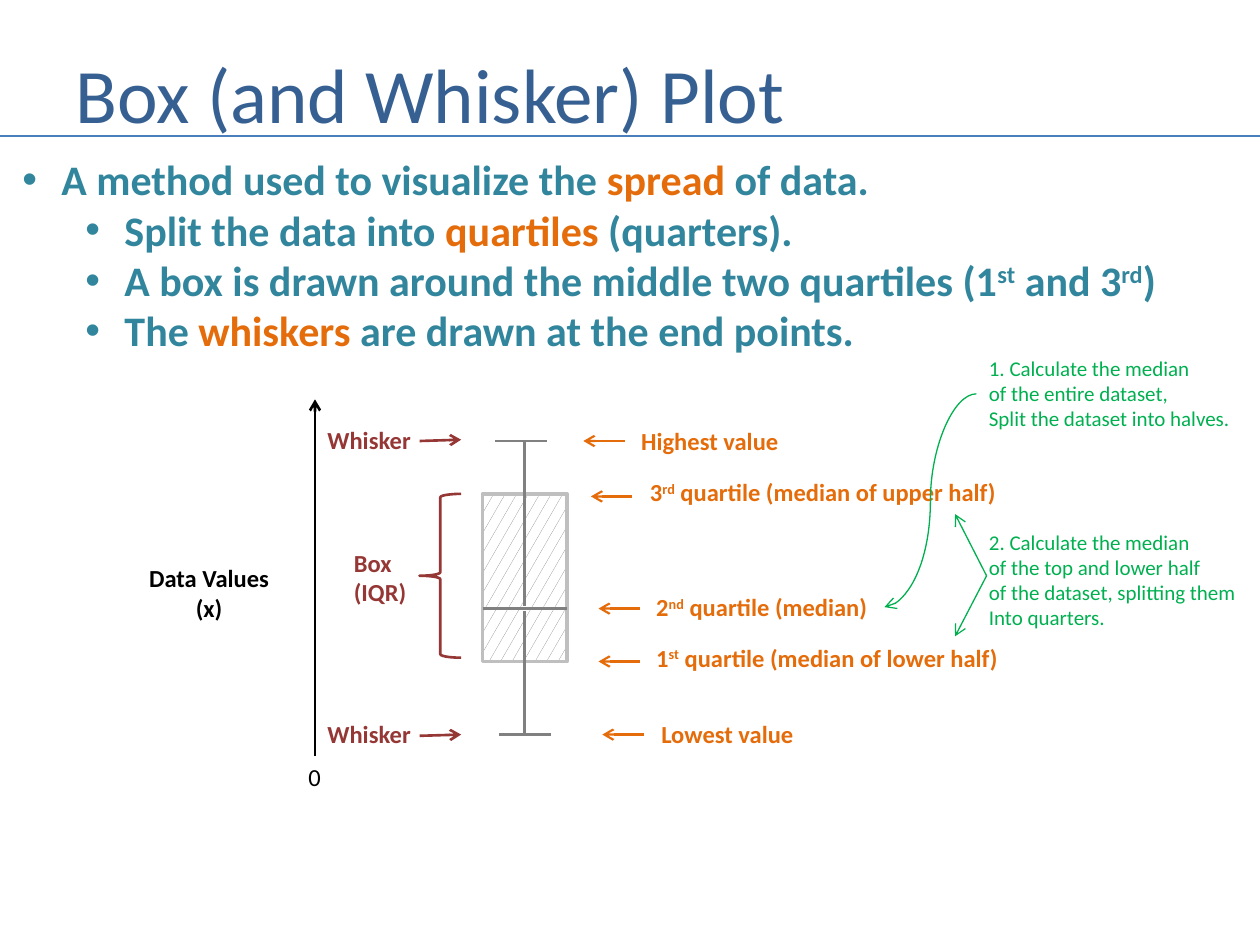
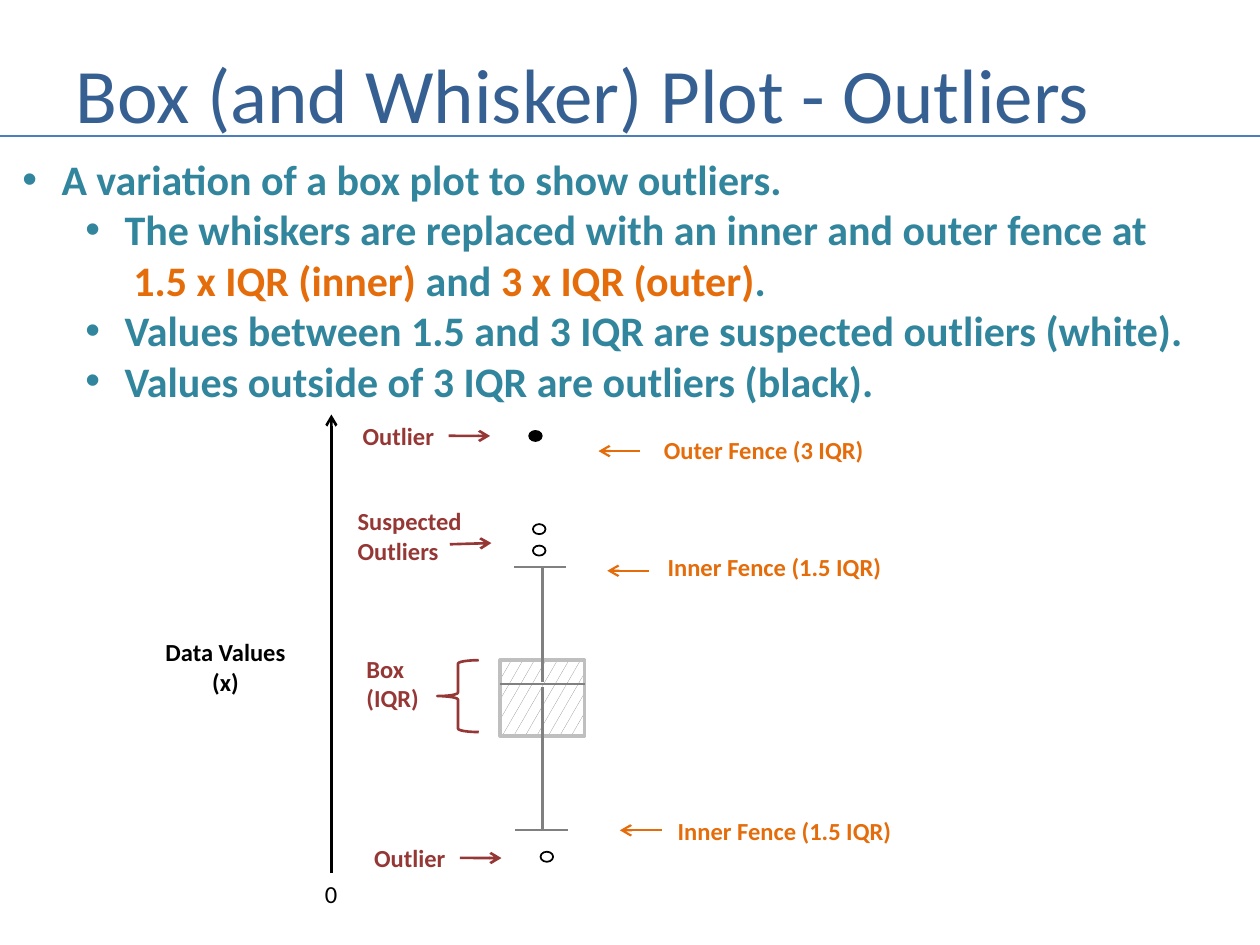
from dataclasses import dataclass
from typing import NamedTuple, Optional, Union

from lxml.etree import SubElement
from pptx import Presentation
from pptx.dml.color import RGBColor
from pptx.enum.dml import MSO_PATTERN
from pptx.enum.shapes import MSO_CONNECTOR, MSO_SHAPE
from pptx.enum.text import MSO_ANCHOR, MSO_AUTO_SIZE, PP_ALIGN
from pptx.oxml.ns import qn
from pptx.util import Emu, Inches, Pt

# Grid of 100 columns by 75 rows; TOP, RIGHT and so on are connection sites
WIDTH, HEIGHT = Inches(10), Inches(7.5)
COLUMNS, ROWS = 100, 75
TOP, LEFT, RIGHT = 0, 1, 3
FONT = "Calibri"
COLOURS = {
    "title": "376092", "rule": "4B7EBC", "body": "31859C", "accent": "E46C0A",
    "part": "953735", "step": "00B050", "stroke": "808080", "edge": "BFBFBF",
    "black": "000000", "white": "FFFFFF",
}


class Run(NamedTuple):
    text: str
    colour: Optional[str] = None
    raised: bool = False


Line = tuple[Union[str, Run], ...]


class Bullet(NamedTuple):
    line: Line
    indent: float = 8.1
    marked: bool = True


class Callout(NamedTuple):
    """A label and its arrow, which starts at (arrow_x, arrow_y)."""
    lines: tuple[Line, ...]
    left: float
    top: float
    width: float
    arrow_x: float
    arrow_y: float
    joined: bool = False


class Dot(NamedTuple):
    left: float
    top: float
    fill: str = "white"


@dataclass
class BoxPlot:
    axis_x: float
    axis_top: float
    axis_bottom: float
    axis_label_top: float
    box_left: float
    box_top: float
    box_height: float
    median: float
    high: float
    low: float
    high_cap_left: float
    low_cap_left: float
    brace_height: float
    box_label: tuple[float, float]


def accent(text: str) -> Run:
    return Run(text, "accent")


def raised(text: str) -> Run:
    return Run(text, raised=True)


def col(count: float) -> Emu:
    return Emu(round(WIDTH * count / COLUMNS))


def row(count: float) -> Emu:
    return Emu(round(HEIGHT * count / ROWS))


def rgb(name: str) -> RGBColor:
    return RGBColor.from_string(COLOURS[name])


# Text
def add_text(slide, lines, left, top, width, size, colour, bold=False, align=None):
    height = 1 + 0.17 * size * len(lines)
    box = slide.shapes.add_textbox(col(left), row(top), col(width), row(height))
    frame = box.text_frame
    frame.word_wrap = False
    frame.auto_size = MSO_AUTO_SIZE.SHAPE_TO_FIT_TEXT
    for number, line in enumerate(lines):
        paragraph = frame.add_paragraph() if number else frame.paragraphs[0]
        paragraph.alignment = align
        font = paragraph.font
        font.name, font.size, font.bold = FONT, Pt(size), bold
        font.color.rgb = rgb(colour)
        for part in line:
            piece = part if isinstance(part, Run) else Run(part)
            run = paragraph.add_run()
            run.text = piece.text
            if piece.colour:
                run.font.color.rgb = rgb(piece.colour)
            if piece.raised:
                run._r.get_or_add_rPr().set("baseline", "30000")
    return box


def add_bullets(slide, bullets: list[Bullet], width: float) -> None:
    box = add_text(slide, [b.line for b in bullets], 0.8, 11.7, width, 24, "body", True)
    for paragraph, bullet in zip(box.text_frame.paragraphs, bullets):
        properties = paragraph._p.get_or_add_pPr()
        properties.set("marL", str(col(bullet.indent)))
        properties.set("indent", str(-col(3.1) if bullet.marked else 0))
        if bullet.marked:
            mark = SubElement(properties, qn("a:buChar"), char="•")
            properties.insert(0, mark)
            face = SubElement(properties, qn("a:buFont"), typeface="Arial")
            properties.insert(0, face)


# Lines and shapes
def add_line(slide, start, end, colour, weight, arrow=False, kind=MSO_CONNECTOR.STRAIGHT):
    line = slide.shapes.add_connector(
        kind, col(start[0]), row(start[1]), col(end[0]), row(end[1]))
    line.line.color.rgb = rgb(colour)
    line.line.width = Pt(weight)
    properties = line._element.spPr
    if arrow:
        SubElement(properties.find(qn("a:ln")), qn("a:tailEnd"), type="arrow")
    SubElement(properties, qn("a:effectLst"))
    return line


def add_outline(slide, kind, left, top, width, height, colour, weight):
    shape = slide.shapes.add_shape(kind, col(left), row(top), col(width), row(height))
    shape.shadow.inherit = False
    shape.fill.background()
    shape.line.color.rgb = rgb(colour)
    shape.line.width = Pt(weight)
    return shape


def add_dot(slide, dot: Dot) -> None:
    shape = add_outline(slide, MSO_SHAPE.OVAL, dot.left, dot.top, 1, 0.8, "black", 1)
    shape.fill.solid()
    shape.fill.fore_color.rgb = rgb(dot.fill)


def add_callout(slide, callout: Callout, colour: str):
    label = add_text(slide, callout.lines, callout.left, callout.top, callout.width,
                     14, colour, True)
    reach, rise, weight = (3.3, 0.1, 1.5) if colour == "part" else (-3.3, 0, 1.25)
    arrow = add_line(slide, (callout.arrow_x, callout.arrow_y),
                     (callout.arrow_x + reach, callout.arrow_y - rise), colour, weight, True)
    if callout.joined:
        arrow.begin_connect(label, RIGHT)
    return label


def add_box_plot(slide, plot: BoxPlot) -> None:
    box_width, cap_width, gap = 6.7, 4.15, 0.2
    # Axis
    zero = add_text(slide, [("0",)], plot.axis_x - 1.5, plot.axis_bottom, 3, 14, "black")
    axis = add_line(slide, (plot.axis_x, plot.axis_bottom), (plot.axis_x, plot.axis_top),
                    "black", 1.5, True)
    axis.begin_connect(zero, TOP)
    add_text(slide, [("Data Values",), ("(x)",)], plot.axis_x - 14.2, plot.axis_label_top,
             11.6, 14, "black", True, PP_ALIGN.CENTER)
    # Box with median
    box = add_outline(slide, MSO_SHAPE.RECTANGLE, plot.box_left, plot.box_top,
                      box_width, plot.box_height, "edge", 2)
    box.fill.patterned()
    box.fill.pattern = MSO_PATTERN.SMALL_CONFETTI
    box.fill.fore_color.rgb = rgb("stroke")
    box.fill.back_color.rgb = rgb("white")
    add_line(slide, (plot.box_left, plot.median), (plot.box_left + box_width, plot.median),
             "stroke", 1.5)
    # Whiskers and caps
    middle = plot.box_left + box_width / 2
    for end, inner, cap_left in ((plot.high, plot.median - gap, plot.high_cap_left),
                                 (plot.low, plot.median + gap, plot.low_cap_left)):
        add_line(slide, (middle, end), (middle, inner), "stroke", 1.5)
        add_line(slide, (cap_left, end), (cap_left + cap_width, end), "stroke", 1.25)
    # Brace
    add_outline(slide, MSO_SHAPE.LEFT_BRACE, plot.box_left - 5, plot.box_top, 3.3,
                plot.brace_height, "part", 1.5)
    add_text(slide, [("Box",), ("(IQR)",)], *plot.box_label, 6.2, 14, "part", True)


def add_titled_slide(deck, title: str):
    slide = deck.slides.add_slide(deck.slide_layouts[6])
    heading = add_text(slide, [(title,)], 5, 3, 90.8, 44, "title")
    frame = heading.text_frame
    frame.auto_size, frame.word_wrap = MSO_AUTO_SIZE.NONE, True
    frame.vertical_anchor = MSO_ANCHOR.MIDDLE
    heading.height = row(8.7)
    add_line(slide, (0, 10.8), (COLUMNS, 10.8), "rule", 1.5)
    return slide


def build_quartiles(deck) -> None:
    slide = add_titled_slide(deck, "Box (and Whisker) Plot")
    add_bullets(slide, [
        Bullet(("A method used to visualize the ", accent("spread"), " of data."), 3.1),
        Bullet(("Split the data into ", accent("quartiles"), " (quarters).")),
        Bullet(("A box is drawn around the middle two quartiles (1", raised("st"),
                " and 3", raised("rd"), ")")),
        Bullet(("The ", accent("whiskers"), " are drawn at the end points.")),
    ], 93.3)
    add_box_plot(slide, BoxPlot(
        axis_x=25, axis_top=31.7, axis_bottom=60, axis_label_top=44.2,
        box_left=38.3, box_top=39.2, box_height=13.3, median=48.3, high=35, low=58.3,
        high_cap_left=39.3, low_cap_left=39.6, brace_height=13, box_label=(27.1, 43)))
    for top, arrow_y in ((33.2, 35), (56.6, 58.4)):
        add_callout(slide, Callout((("Whisker",),), 25, top, 8.7, 33.3, arrow_y), "part")
    for callout in (
        Callout((("Highest value",),), 49.9, 33.3, 13, 49.6, 35),
        Callout((("3", raised("rd"), " quartile (median of upper half)"),),
                50.6, 37.4, 30.2, 50.2, 39.4),
        Callout((("1", raised("st"), " quartile (median of lower half)"),),
                51.1, 50.5, 29.4, 50.8, 52.5),
        Callout((("Lowest value",),), 51.5, 56.6, 12.6, 51.1, 58.3),
    ):
        add_callout(slide, callout, "accent")
    median = add_callout(slide, Callout((("2", raised("nd"), " quartile (median)"),),
                                        51.1, 46.5, 19.1, 50.8, 48.3), "accent")
    # Steps
    halves = add_text(slide, [
        ("1. Calculate the median",), ("of the entire dataset,",),
        ("Split the dataset into halves.",)], 77.5, 27.7, 21.3, 12, "step")
    curve = add_line(slide, (77.5, 31.2), (70.2, 48.2), "step", 0.75, True,
                     MSO_CONNECTOR.CURVE)
    curve.begin_connect(halves, LEFT)
    curve.end_connect(median, RIGHT)
    add_text(slide, [
        ("2. Calculate the median",), ("of the top and lower half",),
        ("of the dataset, splitting them",), ("Into quarters.",)],
        77.5, 41.5, 22.1, 12, "step")
    for target in (40.8, 50.5):
        add_line(slide, (78.3, 45.7), (75.8, target), "step", 0.75, True)


def build_outliers(deck) -> None:
    slide = add_titled_slide(deck, "Box (and Whisker) Plot - Outliers")
    add_bullets(slide, [
        Bullet(("A variation of a box plot to show outliers.",), 3.1),
        Bullet(("The whiskers are replaced with an inner and outer fence at",)),
        Bullet((accent("1.5 x IQR (inner) "), "and ", accent("3 x IQR (outer)"), "."),
               8.8, marked=False),
        Bullet(("Values between 1.5 and 3 IQR are suspected outliers (white).",)),
        Bullet(("Values outside of 3 IQR are outliers (black).",)),
    ], 95.1)
    add_box_plot(slide, BoxPlot(
        axis_x=26.3, axis_top=32.9, axis_bottom=69.3, axis_label_top=50.1,
        box_left=39.7, box_top=52.4, box_height=6, median=54.3, high=45, low=65.9,
        high_cap_left=40.8, low_cap_left=40.9, brace_height=5.7, box_label=(28.1, 51.4)))
    for dot in (Dot(42, 34.2, "black"), Dot(42.3, 41.6), Dot(42.3, 43.3), Dot(42.9, 67.6)):
        add_dot(slide, dot)
    for callout in (
        Callout((("Outlier",),), 27.8, 32.9, 7.8, 35.6, 34.7, joined=True),
        Callout((("Suspected",), ("Outliers",)), 27.4, 39.7, 10.3, 35.7, 43.2),
        Callout((("Outlier",),), 28.7, 66.4, 7.8, 36.5, 68.2, joined=True),
    ):
        add_callout(slide, callout, "part")
    inner_fence = (("Inner Fence (1.5 IQR)",),)
    for callout in (
        Callout((("Outer Fence (3 IQR)",),), 51.7, 34, 18, 50.8, 35.8),
        Callout(inner_fence, 52, 43.3, 19.1, 51.5, 45.3),
        Callout(inner_fence, 52.8, 64.3, 19.1, 52.5, 65.9),
    ):
        add_callout(slide, callout, "accent")


def main() -> None:
    deck = Presentation()
    deck.slide_width, deck.slide_height = WIDTH, HEIGHT
    build_quartiles(deck)
    build_outliers(deck)
    deck.save("out.pptx")


if __name__ == "__main__":
    main()
